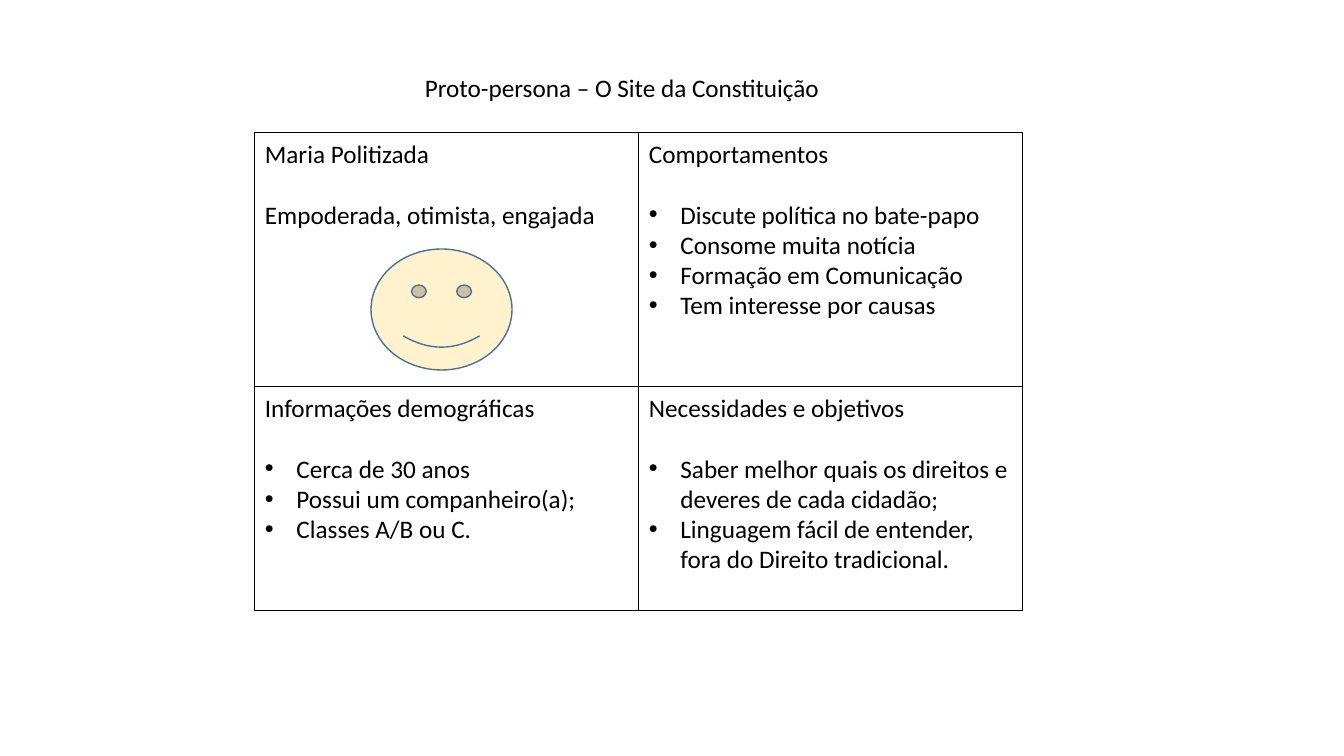
"""Builds the proto-persona slide: a title, four quadrants and a smiling face."""
from lxml import etree
from pptx import Presentation, util as u
from pptx.dml.color import RGBColor
from pptx.enum import shapes, text
from pptx.oxml.ns import qn

SCALE = 914400 / 100.8
COLORS = {"ink": "000000", "skin": "FFF2CC", "outline": "43739E"}


def px(length):
    return u.Emu(round(length * SCALE))


def write(para, content, font="Calibri", size=18, color="ink", align=text.PP_ALIGN.LEFT,
          after=0, bullet=False):
    para.alignment = align
    para.space_after = u.Pt(after)
    span = para.add_run()
    span.text = content
    span.font.name = font
    span.font.size = u.Pt(size)
    span.font.color.rgb = RGBColor.from_string(COLORS[color])
    if bullet:
        props = para._p.get_or_add_pPr()
        props.set("marL", str(px(31.5)))
        props.set("indent", str(-px(31.5)))
        etree.SubElement(props, qn("a:buFont")).set("typeface", "Arial")
        etree.SubElement(props, qn("a:buChar")).set("char", "•")


class Board:
    def __init__(self, deck):
        self.page = deck.slides.add_slide(deck.slide_layouts[6])

    def shape(self, kind, left, top, width, height, line, weight, fill=None):
        box = self.page.shapes.add_shape(kind, px(left), px(top), px(width), px(height))
        box.shadow.inherit = False
        box.line.color.rgb = RGBColor.from_string(COLORS[line])
        box.line.width = u.Pt(weight)
        if fill:
            box.fill.solid()
            box.fill.fore_color.rgb = RGBColor.from_string(COLORS[fill])
        else:
            box.fill.background()
        return box

    def title(self, content, left, top, width, height):
        box = self.page.shapes.add_textbox(px(left), px(top), px(width), px(height))
        box.text_frame.word_wrap = True
        write(box.text_frame.paragraphs[0], content, align=text.PP_ALIGN.CENTER)

    def quadrant(self, heading, items, bullet, *place):
        box = self.shape(shapes.MSO_SHAPE.RECTANGLE, *place, line="ink", weight=0.75)
        frame = box.text_frame
        frame.word_wrap = True
        frame.vertical_anchor = text.MSO_ANCHOR.TOP
        write(frame.paragraphs[0], heading, after=22)
        for item in items:
            write(frame.add_paragraph(), item, bullet=bullet)

    def face(self, *place):
        self.shape(shapes.MSO_SHAPE.SMILEY_FACE, *place, line="outline", weight=1, fill="skin")


QUADRANTS = [
    ("Maria Politizada", ["Empoderada, otimista, engajada"], False),
    ("Comportamentos", ["Discute política no bate-papo", "Consome muita notícia",
                        "Formação em Comunicação", "Tem interesse por causas"], True),
    ("Informações demográficas", ["Cerca de 30 anos", "Possui um companheiro(a);",
                                  "Classes A/B ou C."], True),
    ("Necessidades e objetivos", ["Saber melhor quais os direitos e deveres de cada cidadão;",
                                  "Linguagem fácil de entender, fora do Direito tradicional."], True),
]
LEFT, WIDTH = 255, 384
ROWS = [(133, 254), (387, 224)]

deck = Presentation()
deck.slide_width, deck.slide_height = px(1344), px(756)
board = Board(deck)
for index, (heading, items, bullet) in enumerate(QUADRANTS):
    row, column = divmod(index, 2)
    top, height = ROWS[row]
    board.quadrant(heading, items, bullet, LEFT + column * WIDTH, top, WIDTH, height)
board.face(371, 249, 141, 121)
board.title("Proto-persona – O Site da Constituição", 352, 67, 540, 40)
deck.save("out.pptx")
